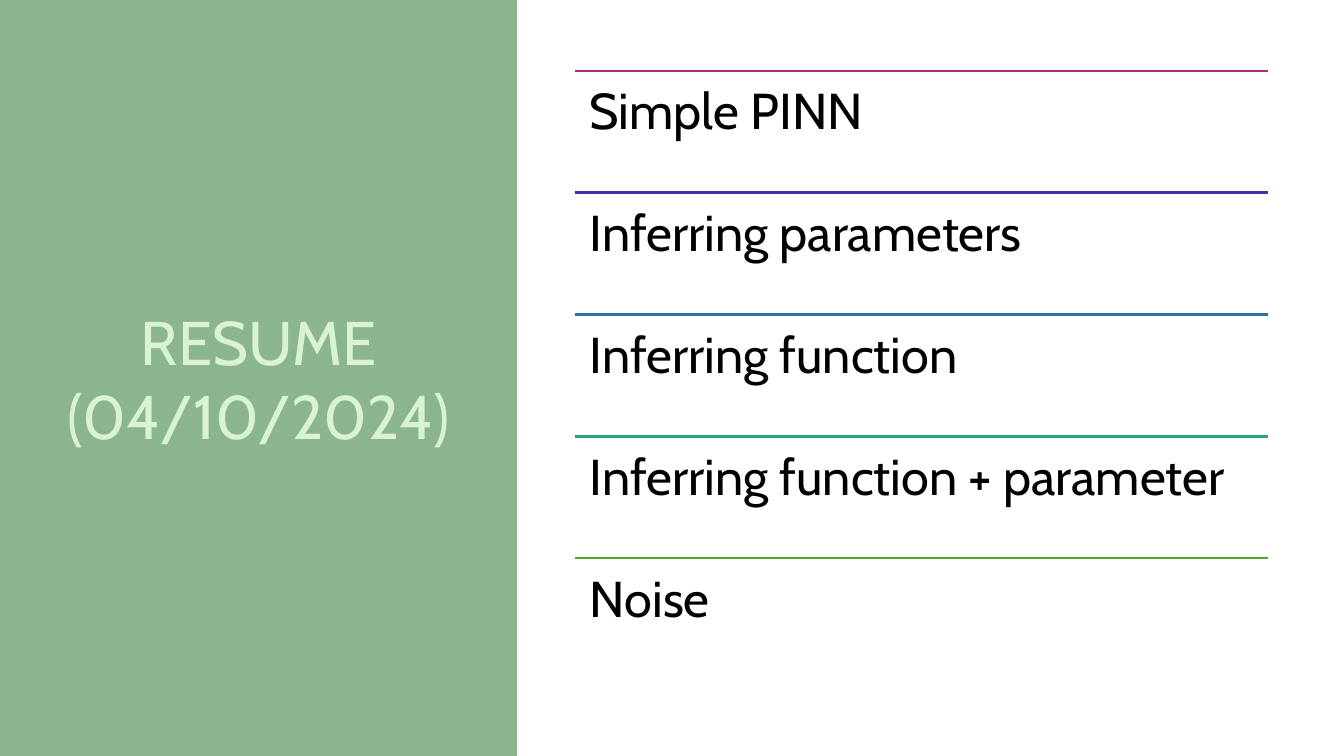
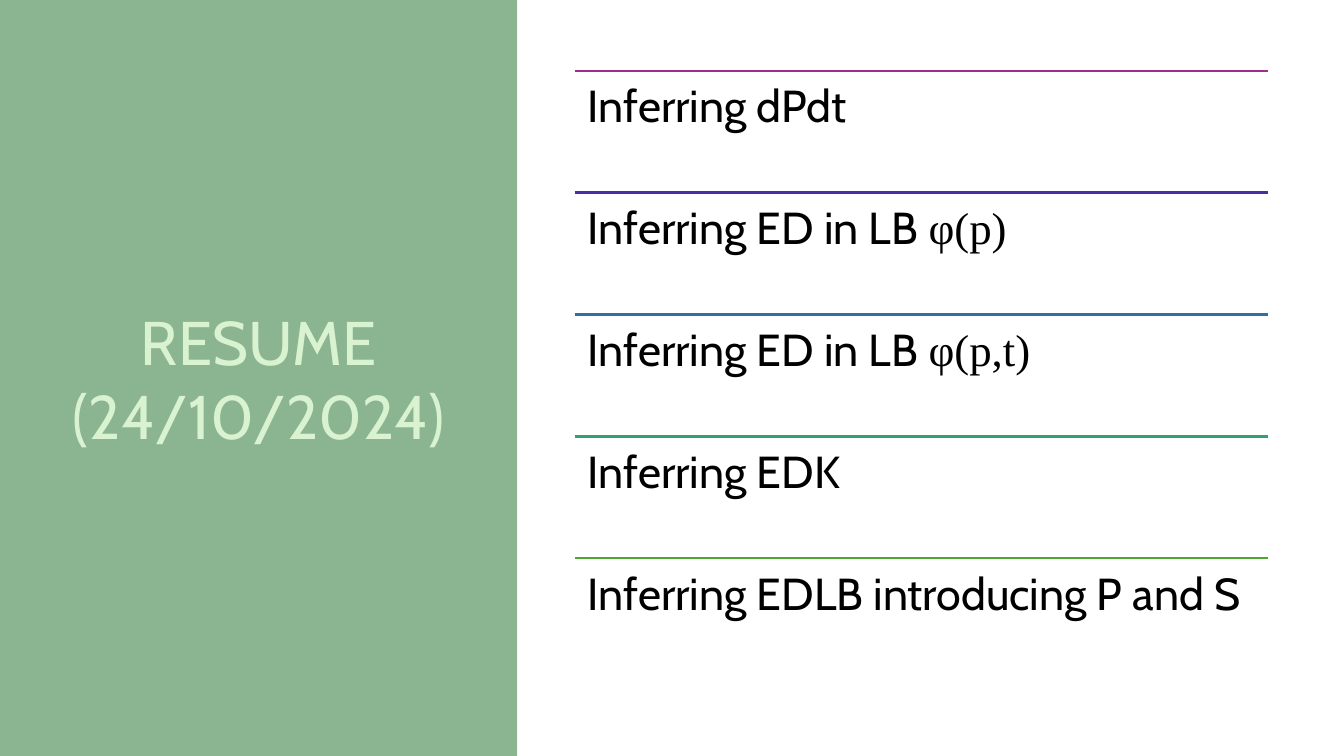
from lxml.etree import SubElement
from pptx import Presentation
from pptx.dml.color import RGBColor
from pptx.enum.shapes import MSO_CONNECTOR as Connector, MSO_SHAPE as Shape
from pptx.enum.text import MSO_ANCHOR as Anchor, PP_ALIGN as Align
from pptx.oxml.ns import qn
from pptx.util import Emu, Pt

SLIDE_W, SLIDE_H = 1333, 750
PANEL_W = 513
TOPIC_LEFT, TOPIC_TOP = 570, 70
TOPIC_W, TOPIC_H = 688, 121

PANEL_GREEN = "196B24"
TITLE_GREEN = "D9F2D0"
BLACK = "000000"
RULE_COLORS = ["A02B93", "4B2CA2", "2C71A4", "2DA573", "4EA72E"]
FONT = "Cabin"
FORMULA_FONT = "Times New Roman"

RESUMES = [
    ("RESUME (04/10/2024)", 36, 15, [
        ("Simple PINN", ""),
        ("Inferring parameters", ""),
        ("Inferring function", ""),
        ("Inferring function + parameter", ""),
        ("Noise", ""),
    ]),
    ("RESUME (24/10/2024)", 32, 13, [
        ("Inferring dPdt", ""),
        ("Inferring ED in LB ", "φ(p)"),
        ("Inferring ED in LB ", "φ(p,t)"),
        ("Inferring EDK", ""),
        ("Inferring EDLB introducing P and S", ""),
    ]),
]


def px(length):
    return Emu(length * 9144)


def rgb(color):
    return RGBColor.from_string(color)


def style(font, size, color):
    font.name = FONT
    font.size = Pt(size)
    font.color.rgb = rgb(color)


def add_title_panel(slide, title):
    panel = slide.shapes.add_shape(
        Shape.RECTANGLE, 0, 0, px(PANEL_W), px(SLIDE_H))
    panel.shadow.inherit = False
    panel.line.fill.background()
    panel.fill.solid()
    panel.fill.fore_color.rgb = rgb(PANEL_GREEN)
    fill_color = panel.fill._xPr.find(qn("a:solidFill"))[0]
    SubElement(fill_color, qn("a:alpha"), val="50000")

    frame = panel.text_frame
    frame.word_wrap = True
    frame.vertical_anchor = Anchor.MIDDLE
    heading = frame.paragraphs[0]
    heading.text = title
    heading.alignment = Align.CENTER
    style(heading.font, 44, TITLE_GREEN)


def add_rule(slide, top, color):
    rule = slide.shapes.add_connector(
        Connector.STRAIGHT, px(TOPIC_LEFT), px(top),
        px(TOPIC_LEFT + TOPIC_W), px(top))
    rule.line.color.rgb = rgb(color)
    rule.line.width = Pt(1.5)
    SubElement(rule._element.spPr, qn("a:effectLst"))


def add_topic(slide, top, words, formula, size, inset):
    topic = slide.shapes.add_textbox(
        px(TOPIC_LEFT), px(top), px(TOPIC_W), px(TOPIC_H))
    frame = topic.text_frame
    frame.word_wrap = True
    frame.margin_left = frame.margin_right = px(inset)
    frame.margin_top = frame.margin_bottom = px(inset)
    line = frame.paragraphs[0]
    line.line_spacing = 0.9
    style(line.font, size, BLACK)
    line.add_run().text = words
    if formula:
        formula_run = line.add_run()
        formula_run.text = formula
        formula_run.font.name = FORMULA_FONT


def add_resume(deck, title, size, inset, topics):
    slide = deck.slides.add_slide(deck.slide_layouts[6])
    add_title_panel(slide, title)
    for row, ((words, formula), color) in enumerate(zip(topics, RULE_COLORS)):
        top = TOPIC_TOP + row * TOPIC_H
        add_rule(slide, top, color)
        add_topic(slide, top, words, formula, size, inset)


def main():
    deck = Presentation()
    deck.slide_width, deck.slide_height = px(SLIDE_W), px(SLIDE_H)
    for resume in RESUMES:
        add_resume(deck, *resume)
    deck.save("out.pptx")


if __name__ == "__main__":
    main()
